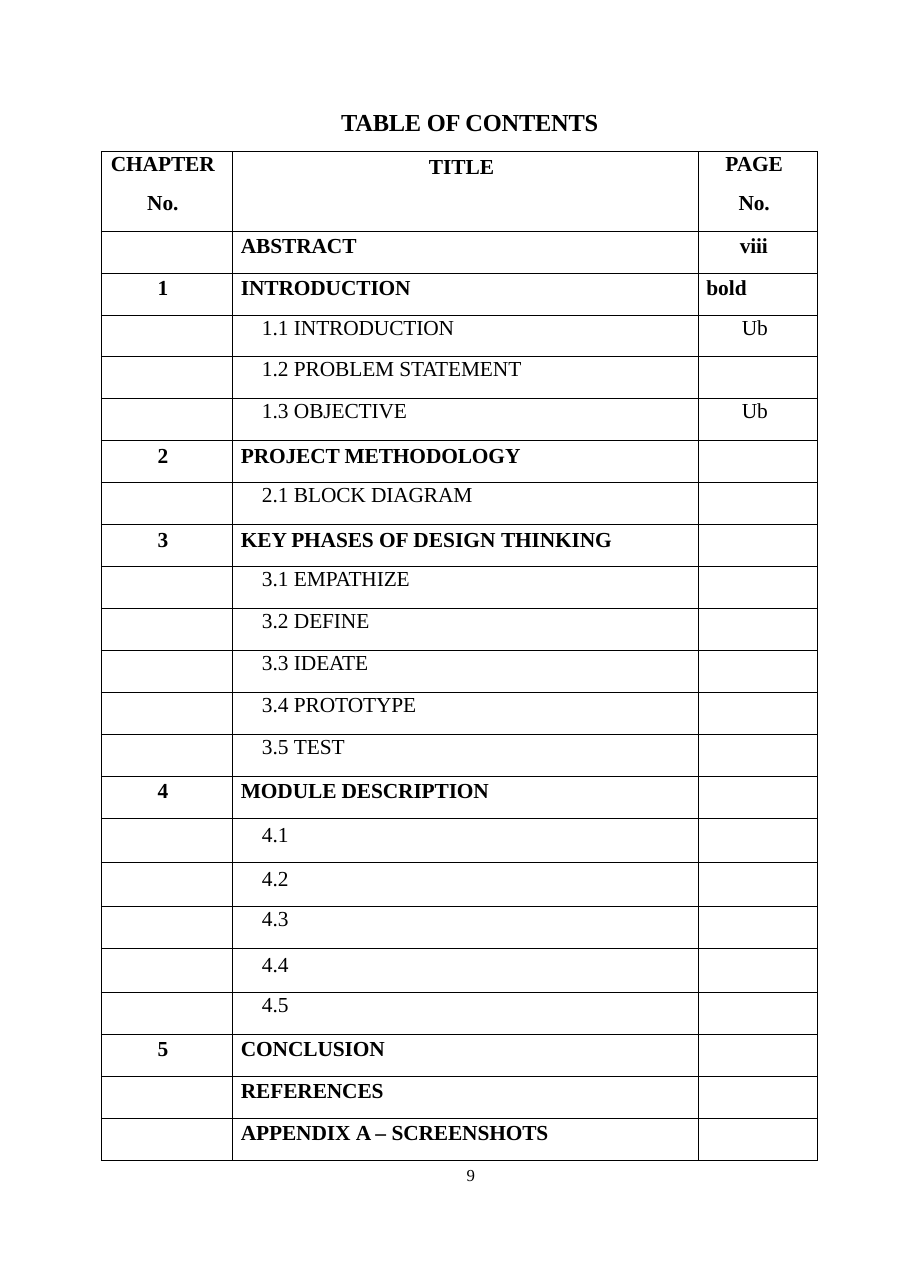
from lxml.etree import SubElement as Sub
from pptx import Presentation
from pptx.dml.color import RGBColor
from pptx.enum.text import PP_ALIGN as Align
from pptx.oxml.ns import qn
from pptx.util import Inches, Pt

BLACK = RGBColor(0, 0, 0)
FONT = "Times New Roman"
HEAD = (["CHAPTER", "No."], ["TITLE"], ["PAGE", "No."])
ROWS = [
    ("", ["ABSTRACT"], "viii"),
    ("1", ["INTRODUCTION"], "bold"),
    ("", ["1.1 ", "INTRODUCTION"], "Ub"),
    ("", ["1.2 ", "PROBLEM STATEMENT"], ""),
    ("", ["1.3 ", "OBJECTIVE"], "Ub"),
    ("2", ["PROJECT METHODOLOGY"], ""),
    ("", ["2.1 ", "BLOCK DIAGRAM"], ""),
    ("3", ["KEY PHASES ", "OF DESIGN ", "THINKING"], ""),
    ("", ["3.1 ", "EMPATHIZE"], ""),
    ("", ["3.2 ", "DEFINE"], ""),
    ("", ["3.3 ", "IDEATE"], ""),
    ("", ["3.4 ", "PROTOTYPE"], ""),
    ("", ["3.5 ", "TEST"], ""),
    ("4", ["MODULE DESCRIPTION"], ""),
    ("", ["4.1"], ""),
    ("", ["4.2"], ""),
    ("", ["4.3"], ""),
    ("", ["4.4"], ""),
    ("", ["4.5"], ""),
    ("5", ["CONCLUSION"], ""),
    ("", ["REFERENCES"], ""),
    ("", ["APPENDIX ", "A – ", "SCREENSHOTS"], ""),
]
LOOSE = {"TITLE", "OF DESIGN ", "A – ", "bold"}
TALL = {"4.1", "4.2", "4.4"}
COLS = [1.19, 4.24, 1.08]
LEFT, TOP, HIGH = 0.92, 1.38, 9.17
HEAD_H, TALL_H = 0.72, 0.4
ROW_H = (HIGH - HEAD_H - TALL_H * len(TALL)) / (len(ROWS) - len(TALL))


def write(para, text, bold=False, size=14):
    run = para.add_run()
    run.text = text
    font = run.font
    font.name, font.size, font.bold = FONT, Pt(size), bold
    font.color.rgb = BLACK
    if not (text in LOOSE or text[0].isdigit()):
        run._r.get_or_add_rPr().set("spc", "-10")


def pad(part, left=0, top=0, right=0):
    part.margin_left, part.margin_top = Inches(left), Inches(top)
    part.margin_right, part.margin_bottom = Inches(right), 0


def frame(cell):
    cell.fill.background()
    props = cell._tc.get_or_add_tcPr()
    for i, side in enumerate(("lnL", "lnR", "lnT", "lnB")):
        line = Sub(props, qn("a:" + side), w=str(Pt(0.5)))
        fill = Sub(line, qn("a:solidFill"))
        Sub(fill, qn("a:srgbClr"), val=str(BLACK))
        props.insert(i, line)


def label(slide, box, text, size, bold=False):
    text_box = slide.shapes.add_textbox(*map(Inches, box))
    body = text_box.text_frame
    body.word_wrap = True
    para = body.paragraphs[0]
    write(para, text, bold, size)
    return body, para


def fill_head(table):
    for col, lines in enumerate(HEAD):
        cell = table.cell(0, col)
        pad(cell, 0, 0.03 if col == 1 else 0, 0.07)
        body = cell.text_frame
        for i, text in enumerate(lines):
            para = body.add_paragraph() if i else body.paragraphs[0]
            para.alignment = Align.CENTER
            if i:
                para.space_before = Pt(10.2)
            elif col != 1:
                para.line_spacing = Pt(16)
            write(para, text, True)


def fill_row(table, row, chap, parts, page):
    sub = parts[0][0].isdigit()
    top = 0.05 if parts[0] in TALL else 0.01 if sub else 0.03
    num, title, last = (table.cell(row, col) for col in range(3))
    pad(num, 0, top, 0.07)
    pad(title, 0.27 if sub else 0.08, top)
    pad(last, 0.07, top, 0.45)
    if chap:
        para = num.text_frame.paragraphs[0]
        para.alignment = Align.CENTER
        write(para, chap, True)
    for part in parts:
        write(title.text_frame.paragraphs[0], part, not sub)
    if page:
        para = last.text_frame.paragraphs[0]
        para.alignment = Align.LEFT if page == "bold" else Align.RIGHT
        write(para, page, not sub)


def main():
    deck = Presentation()
    deck.slide_width, deck.slide_height = Inches(8.28), Inches(11.71)
    slide = deck.slides.add_slide(deck.slide_layouts[6])

    body, para = label(slide, (4.2, 10.59, 0.29, 0.2), "9", 11)
    pad(body, 0.04)
    para.line_spacing = Pt(13.1)
    body, para = label(slide, (3.09, 0.96, 2.42, 0.29), "TABLE OF CONTENTS", 16, True)
    pad(body, 0.01, 0.01)
    para.space_before = Pt(0.9)

    area = map(Inches, (LEFT, TOP, sum(COLS), HIGH))
    table = slide.shapes.add_table(len(ROWS) + 1, len(COLS), *area).table
    table.first_row = table.horz_banding = False
    for col, width in zip(table.columns, COLS):
        col.width = Inches(width)
    for cell in table.iter_cells():
        frame(cell)
    table.rows[0].height = Inches(HEAD_H)
    fill_head(table)
    for row, (chap, parts, page) in enumerate(ROWS, 1):
        table.rows[row].height = Inches(TALL_H if parts[0] in TALL else ROW_H)
        fill_row(table, row, chap, parts, page)

    deck.save("out.pptx")


if __name__ == "__main__":
    main()
